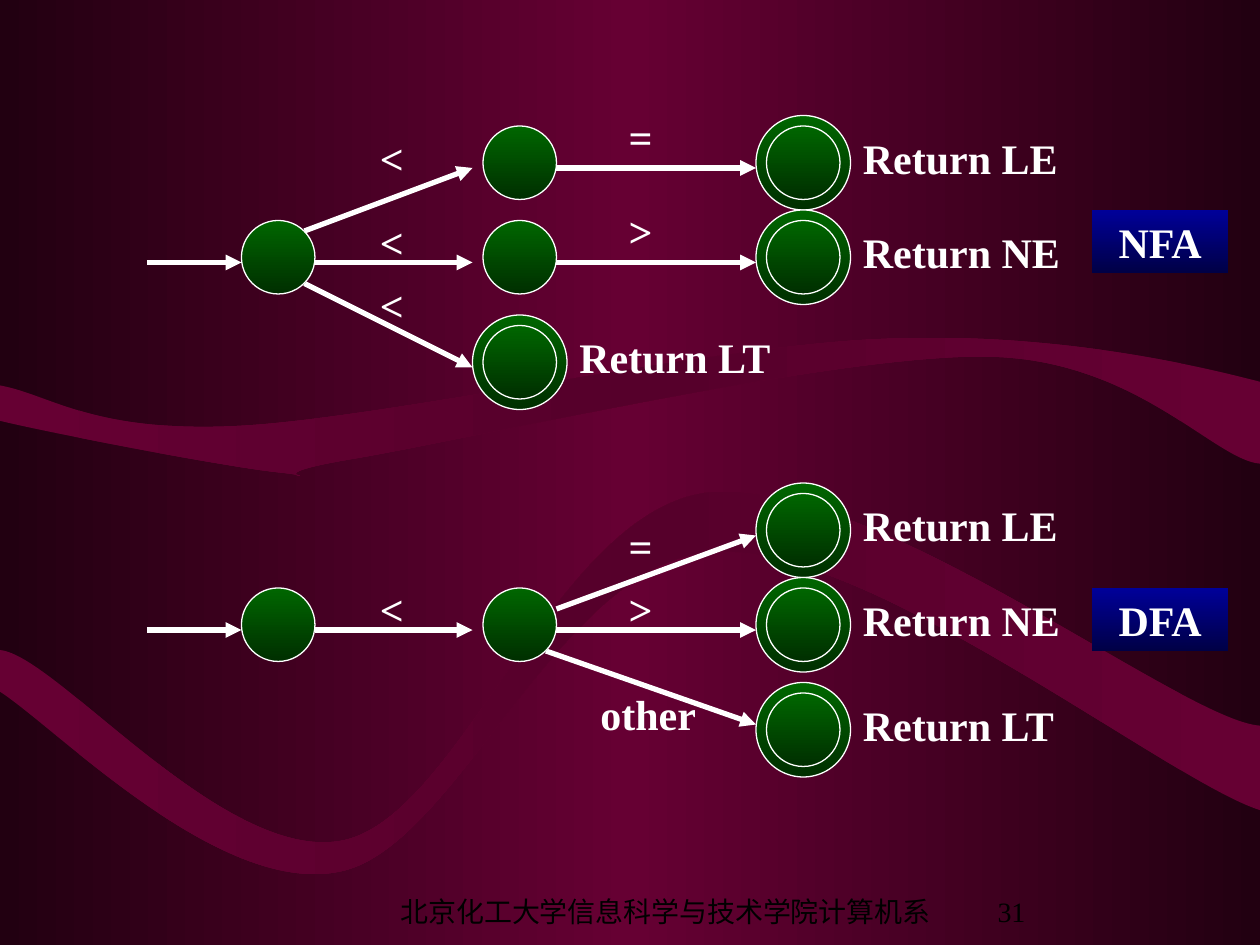
from lxml.etree import SubElement
from pptx import Presentation
from pptx.dml.color import RGBColor
from pptx.enum.shapes import MSO_CONNECTOR, MSO_SHAPE
from pptx.enum.text import MSO_ANCHOR, PP_ALIGN
from pptx.oxml.ns import qn
from pptx.util import Pt

THEME = {
    "font": "Times New Roman", "label_size": 24, "footer_size": 16,
    "light": "FFFFFF", "dark": "000000",
    "backdrop": ["220011", "660033", "220011"],
    "ribbon": ["660033", "56002B", "660033"],
    "state": ["006600", "002F00"],
    "badge": ["000099", "000046"],
    "edge_width": 3, "outline_width": 0.75,
}

# Columns, by the centre of their states
START, MIDDLE, END = 159, 297, 459
# Rows, measured from the middle row of each automaton
TOP, CENTRE, BOTTOM = -54, 0, 60
RADIUS, ACCEPT_RADIUS = 21, 27
LABEL_HEIGHT = 36

# states: column, row, result (only accepting states have one)
# edges: x1, y1, x2, y2; symbols: text, left, top, width, alignment
# All y values are measured from the middle row.
AUTOMATA = [
    {
        "name": "NFA", "middle_row": 147, "badge_top": -27,
        "states": [(START, CENTRE, None), (MIDDLE, TOP, None), (MIDDLE, CENTRE, None),
                   (END, TOP, "Return LE"), (END, CENTRE, "Return NE"),
                   (MIDDLE, BOTTOM, "Return LT")],
        "edges": [(84, 3, 138, 3), (174, -15, 270, -51), (180, 3, 270, 3),
                  (174, 15, 270, 63), (318, -51, 432, -51), (318, 3, 432, 3)],
        "symbols": [("<", 210, -75, 42, PP_ALIGN.LEFT), ("<", 210, -27, 42, PP_ALIGN.LEFT),
                    ("<", 210, 9, 42, PP_ALIGN.LEFT), ("=", 318, -87, 96, PP_ALIGN.CENTER),
                    (">", 318, -33, 96, PP_ALIGN.CENTER)],
    },
    {
        "name": "DFA", "middle_row": 357, "badge_top": -21,
        "states": [(START, CENTRE, None), (MIDDLE, CENTRE, None),
                   (END, TOP, "Return LE"), (END, CENTRE, "Return NE"),
                   (END, BOTTOM, "Return LT")],
        "edges": [(84, 3, 138, 3), (180, 3, 270, 3), (318, -9, 432, -51),
                  (318, 3, 432, 3), (312, 15, 432, 57)],
        "symbols": [("<", 210, -27, 42, PP_ALIGN.LEFT), ("=", 318, -63, 96, PP_ALIGN.CENTER),
                    (">", 318, -27, 96, PP_ALIGN.CENTER),
                    ("other", 336, 33, 84, PP_ALIGN.LEFT)],
    },
]

# Ribbon outlines: a segment of one point is a line, of three points a curve
RIBBONS = [
    [[(0, 220.3)], [(0, 240.5)],
     [(26.6, 247), (126, 266.4), (159.8, 270)],
     [(193.7, 273.6), (136.8, 272.9), (203, 262)],
     [(270, 250.6), (475.2, 203), (561.6, 203.8)],
     [(648, 203.8), (693.4, 262.8), (720, 265)],
     [(720, 218.2)],
     [(684, 208.8), (601.9, 189.4), (504.7, 193.7)],
     [(407.5, 197.3), (221, 239), (136.8, 243.4)],
     [(52.6, 247.7), (28.8, 225.4), (0, 220.3)]],
    [[(0, 371.5)], [(0, 395.3)],
     [(32.4, 416.2), (125.3, 511.9), (193.7, 498.2)],
     [(261.4, 485.3), (319, 321.1), (406.8, 315.4)],
     [(494.6, 308.9), (667.4, 446.4), (720, 463)],
     [(720, 414.7)],
     [(675.4, 411.8), (497.5, 271.4), (404.6, 281.5)],
     [(317.5, 292.3), (264.2, 465.1), (196.6, 480.2)],
     [(128.9, 494.6), (32.4, 374.4), (0, 371.5)]],
]

FOOTER = "北京化工大学信息科学与技术学院计算机系"
PAGE = "31"


def paint(owner, fill, colours, angle):
    """Fill with evenly spaced colours; the angle runs clockwise."""
    fill.gradient()
    fill.gradient_angle = -angle % 360
    stops = owner.find(".//" + qn("a:gsLst"))
    stops.clear()
    for i, colour in enumerate(colours):
        position = str(100000 * i // (len(colours) - 1))
        stop = SubElement(stops, qn("a:gs"), pos=position)
        SubElement(stop, qn("a:srgbClr"), val=colour)


def write(frame, text, *, size=THEME["label_size"], colour=THEME["light"], bold=True,
          align=PP_ALIGN.LEFT, anchor=MSO_ANCHOR.TOP, wrap=True, left_inset=7.2):
    frame.word_wrap = wrap
    frame.vertical_anchor = anchor
    frame.margin_left = Pt(left_inset)
    paragraph = frame.paragraphs[0]
    paragraph.alignment = align
    run = paragraph.add_run()
    run.text = text
    run.font.name = THEME["font"]
    run.font.size = Pt(size)
    run.font.bold = bold
    run.font.color.rgb = RGBColor.from_string(colour)


def add_label(shapes, text, left, top, width, height=LABEL_HEIGHT, **style):
    box = shapes.add_textbox(Pt(left), Pt(top), Pt(width), Pt(height))
    write(box.text_frame, text, **style)


def add_ribbon(shapes, segments):
    points = [(Pt(x), Pt(y)) for segment in segments for x, y in segment]
    builder = shapes.build_freeform(*points[0])
    builder.add_line_segments(points[1:], close=True)
    ribbon = builder.convert_to_shape()
    ribbon.shadow.inherit = False
    ribbon.line.fill.background()
    paint(ribbon.element, ribbon.fill, THEME["ribbon"], 180)
    # Join each three points of a curve into one Bezier step
    steps = iter(ribbon.element.findall(".//" + qn("a:lnTo")))
    for segment in segments[1:]:
        first, *others = [next(steps) for _ in segment]
        if others:
            first.tag = qn("a:cubicBezTo")
            for step in others:
                first.append(step[0])
                step.getparent().remove(step)


def add_circle(shapes, x, y, radius):
    circle = shapes.add_shape(MSO_SHAPE.OVAL, Pt(x - radius), Pt(y - radius),
                              Pt(2 * radius), Pt(2 * radius))
    circle.shadow.inherit = False
    paint(circle.element, circle.fill, THEME["state"], 90)
    circle.line.color.rgb = RGBColor.from_string(THEME["light"])
    circle.line.width = Pt(THEME["outline_width"])


def add_edge(shapes, x1, y1, x2, y2):
    edge = shapes.add_connector(MSO_CONNECTOR.STRAIGHT, Pt(x1), Pt(y1), Pt(x2), Pt(y2))
    edge.line.color.rgb = RGBColor.from_string(THEME["light"])
    edge.line.width = Pt(THEME["edge_width"])
    properties = edge.element.find(qn("p:spPr"))
    SubElement(properties.find(qn("a:ln")), qn("a:tailEnd"), type="triangle")
    SubElement(properties, qn("a:effectLst"))


def add_badge(shapes, text, top):
    badge = shapes.add_shape(MSO_SHAPE.RECTANGLE, Pt(624), Pt(top), Pt(78), Pt(LABEL_HEIGHT))
    badge.shadow.inherit = False
    badge.line.fill.background()
    paint(badge.element, badge.fill, THEME["badge"], 90)
    write(badge.text_frame, text, align=PP_ALIGN.CENTER)


def add_automaton(shapes, automaton):
    row = automaton["middle_row"]
    diagram = shapes.add_group_shape().shapes
    for x1, y1, x2, y2 in automaton["edges"]:
        add_edge(diagram, x1, row + y1, x2, row + y2)
    for x, y, result in automaton["states"]:
        if result:
            add_circle(diagram, x, row + y, ACCEPT_RADIUS)
            add_label(diagram, result, x + ACCEPT_RADIUS, row + y - RADIUS, 186)
        add_circle(diagram, x, row + y, RADIUS)
    for symbol, left, top, width, align in automaton["symbols"]:
        add_label(diagram, symbol, left, row + top, width, align=align)
    add_badge(shapes, automaton["name"], row + automaton["badge_top"])


def main():
    deck = Presentation()
    deck.slide_width, deck.slide_height = Pt(720), Pt(540)
    slide = deck.slides.add_slide(deck.slide_layouts[6])

    # Backdrop
    paint(slide.element, slide.background.fill, THEME["backdrop"], 180)
    for ribbon in RIBBONS:
        add_ribbon(slide.shapes, ribbon)

    # Automata
    for automaton in AUTOMATA:
        add_automaton(slide.shapes, automaton)

    # Footer
    footer_style = {"size": THEME["footer_size"], "colour": THEME["dark"], "bold": False,
                    "align": PP_ALIGN.CENTER, "anchor": MSO_ANCHOR.BOTTOM, "wrap": False}
    add_label(slide.shapes, FOOTER, 204, 510, 336, 24, left_inset=24, **footer_style)
    add_label(slide.shapes, PAGE, 554, 510, 48, 24, **footer_style)

    deck.save("out.pptx")


if __name__ == "__main__":
    main()
